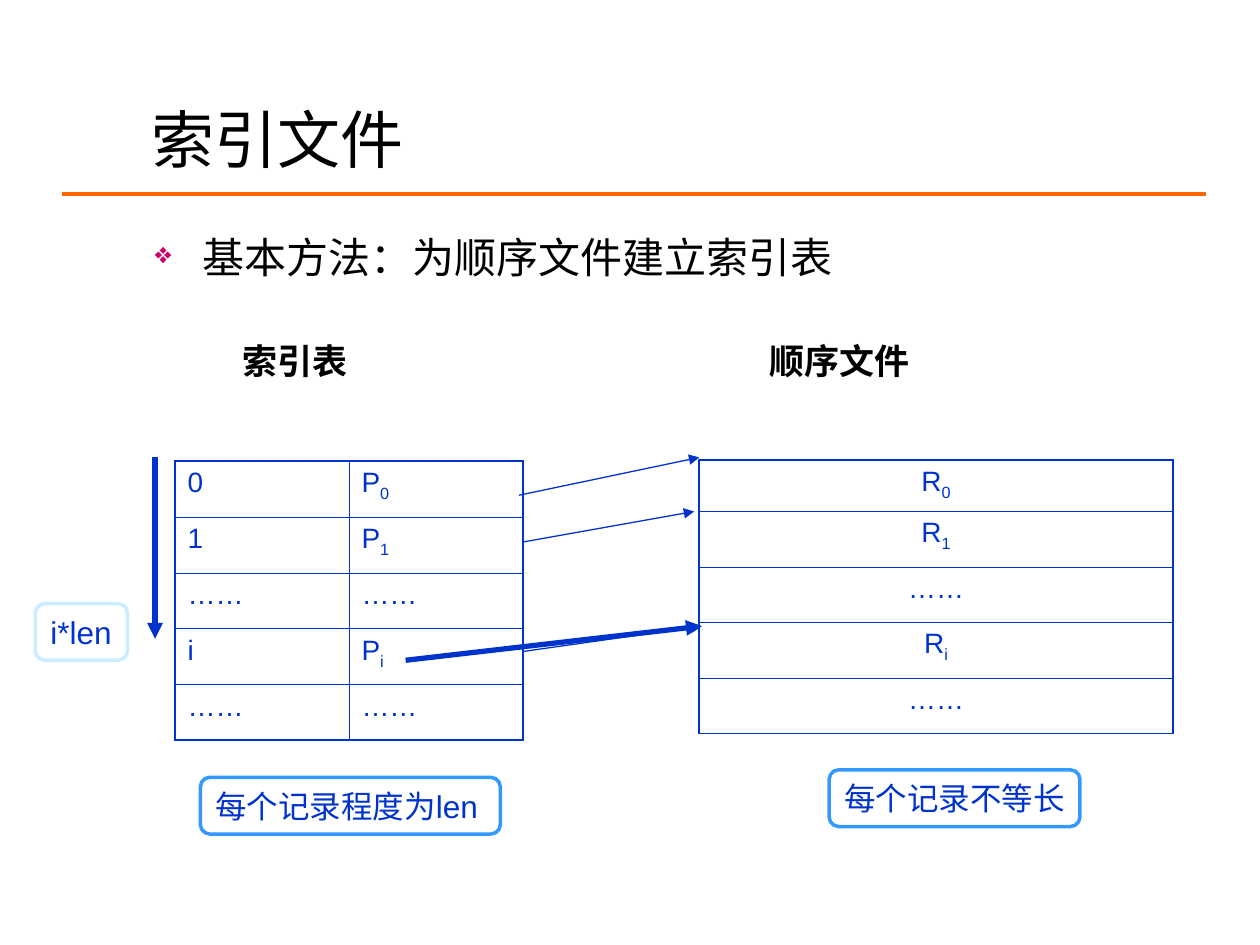
"""Build the slide on index files: an index table pointing into a sequential file."""
from dataclasses import dataclass

from lxml.etree import SubElement
from pptx import Presentation
from pptx.dml.color import RGBColor
from pptx.enum.shapes import MSO_CONNECTOR, MSO_SHAPE
from pptx.enum.text import MSO_ANCHOR, MSO_AUTO_SIZE, PP_ALIGN
from pptx.oxml.ns import qn
from pptx.util import Pt


@dataclass(frozen=True)
class Theme:
    face: str = "Arial"
    black: str = "000000"
    blue: str = "0033CC"
    sky: str = "3399FF"
    pale: str = "CCECFF"
    orange: str = "FF6600"
    pink: str = "CC0066"
    white: str = "FFFFFF"
    title: int = 36
    lead: int = 24
    head: int = 20
    note: int = 18
    cell: int = 16
    outer: float = 1.08
    inner: float = 0.45


THEME = Theme()
TITLE = "索引文件"
LEAD = "基本方法：为顺序文件建立索引表"
HEADS = [("索引表", 50), ("顺序文件", 351)]
TABLES = [
    {"at": (399.6, 262.8), "wide": 270.6, "tall": (29.4, 31.75), "align": PP_ALIGN.CENTER,
     "rows": [[("R", "0")], [("R", "1")], [("……", "")], [("R", "i")], [("……", "")]]},
    {"at": (100, 263.5), "wide": 99.4, "tall": (32, 31.9), "align": PP_ALIGN.LEFT,
     "rows": [[("0", ""), ("P", "0")], [("1", ""), ("P", "1")], [("……", ""), ("……", "")],
              [("i", ""), ("P", "i")], [("……", ""), ("……", "")]]},
]
RULE = (35.3, 110.9, 689, 110.9)
ARROWS = [
    ((296.6, 283, 399.6, 261.4), 0.75),
    ((299.5, 309.6, 396.7, 292.3), 0.75),
    ((299.5, 372.2, 401, 357.8), 0.75),
    ((88.6, 261.4, 88.6, 365), 3),
    ((231.8, 377.3, 401, 357.8), 3),
]
NOTES = [
    ("每个记录程度为len", (114.5, 444.2, 171.4, 32.4), THEME.sky),
    ("每个记录不等长", (473.8, 439.9, 143.3, 32.4), THEME.sky),
    ("i*len", (20.2, 344.9, 52.6, 32.4), THEME.pale),
]


def tint(hue):
    return RGBColor.from_string(hue)


def put(obj, pairs):
    for key, val in pairs.items():
        setattr(obj, key, val)


def write(para, text, size, hue, bold=False):
    run = para.add_run()
    run.text = text
    put(run.font, {"name": THEME.face, "size": Pt(size), "bold": bold})
    run.font.color.rgb = tint(hue)
    return run


def node(top, tag, **attrs):
    return SubElement(top, qn(tag), attrs)


def draw_line(slide, ends, hue, width, arrow=False):
    line = slide.shapes.add_connector(MSO_CONNECTOR.STRAIGHT, *map(Pt, ends))
    line.line.color.rgb = tint(hue)
    line.line.width = Pt(width)
    if arrow:
        node(line.line._get_or_add_ln(), "a:tailEnd", type="triangle")
    node(line._element.spPr, "a:effectLst")


def add_title(slide):
    title = slide.shapes.title
    put(title, dict(zip(("left", "top", "width", "height"), map(Pt, (79.2, 54.7, 635.8, 48.2)))))
    frame = title.text_frame
    put(frame, {"vertical_anchor": MSO_ANCHOR.MIDDLE, "auto_size": MSO_AUTO_SIZE.NONE})
    frame.paragraphs[0].alignment = PP_ALIGN.LEFT
    write(frame.paragraphs[0], TITLE, THEME.title, THEME.black)


def add_body(slide):
    frame = slide.shapes.add_textbox(*map(Pt, (81.4, 128.9, 599.8, 100))).text_frame
    frame.word_wrap = True
    lead = frame.paragraphs[0]
    props = lead._p.get_or_add_pPr()
    put_in = {"marL": Pt(27), "indent": Pt(-27)}
    for key, val in put_in.items():
        props.set(key, str(val))
    node(node(props, "a:buClr"), "a:srgbClr", val=THEME.pink)
    node(props, "a:buSzPct", val="70000")
    node(props, "a:buChar", char="❖")
    write(lead, LEAD, THEME.lead, THEME.black)
    heads = frame.add_paragraph()
    tabs = node(heads._p.get_or_add_pPr(), "a:tabLst")
    for _, stop in HEADS:
        node(tabs, "a:tab", pos=str(Pt(stop)), algn="l")
    heads.space_before = Pt(33)
    for text, _ in HEADS:
        write(heads, "\t" + text, THEME.head, THEME.black, True)


def edge_cell(cell, outer):
    props = cell._tc.get_or_add_tcPr()
    for side, out in outer.items():
        width = THEME.outer if out else THEME.inner
        line = node(props, f"a:ln{side}", w=str(Pt(width)))
        node(node(line, "a:solidFill"), "a:srgbClr", val=THEME.blue)
    cell.fill.background()


def add_grid(slide, data):
    rows, (first, rest) = data["rows"], data["tall"]
    count, cols = len(rows), len(rows[0])
    size = (data["wide"] * cols, first + rest * (count - 1))
    grid = slide.shapes.add_table(count, cols, *map(Pt, data["at"] + size)).table
    put(grid, {"first_row": False, "horz_banding": False})
    for r, row in enumerate(rows):
        grid.rows[r].height = Pt(rest if r else first)
        for c, (base, sub) in enumerate(row):
            cell = grid.cell(r, c)
            edge_cell(cell, {"L": c == 0, "R": c == cols - 1, "T": r == 0, "B": r == count - 1})
            para = cell.text_frame.paragraphs[0]
            para.alignment = data["align"]
            write(para, base, THEME.cell, THEME.blue)
            if sub:
                run = write(para, sub, THEME.cell, THEME.blue)
                run.font._element.set("baseline", "-25000")


def add_note(slide, text, at, hue):
    box = slide.shapes.add_shape(MSO_SHAPE.ROUNDED_RECTANGLE, *map(Pt, at))
    box.shadow.inherit = False
    box.fill.solid()
    box.fill.fore_color.rgb = tint(THEME.white)
    box.line.color.rgb = tint(hue)
    box.line.width = Pt(2)
    put(box.text_frame, {"word_wrap": False, "vertical_anchor": MSO_ANCHOR.MIDDLE})
    para = box.text_frame.paragraphs[0]
    para.alignment = PP_ALIGN.LEFT
    write(para, text, THEME.note, THEME.blue)


def main():
    deck = Presentation()
    put(deck, {"slide_width": Pt(720), "slide_height": Pt(540)})
    slide = deck.slides.add_slide(deck.slide_layouts[5])
    add_title(slide)
    draw_line(slide, RULE, THEME.orange, 2.25)
    add_body(slide)
    for data in TABLES:
        add_grid(slide, data)
    for ends, width in ARROWS:
        draw_line(slide, ends, THEME.blue, width, True)
    for note in NOTES:
        add_note(slide, *note)
    deck.save("out.pptx")


if __name__ == "__main__":
    main()
